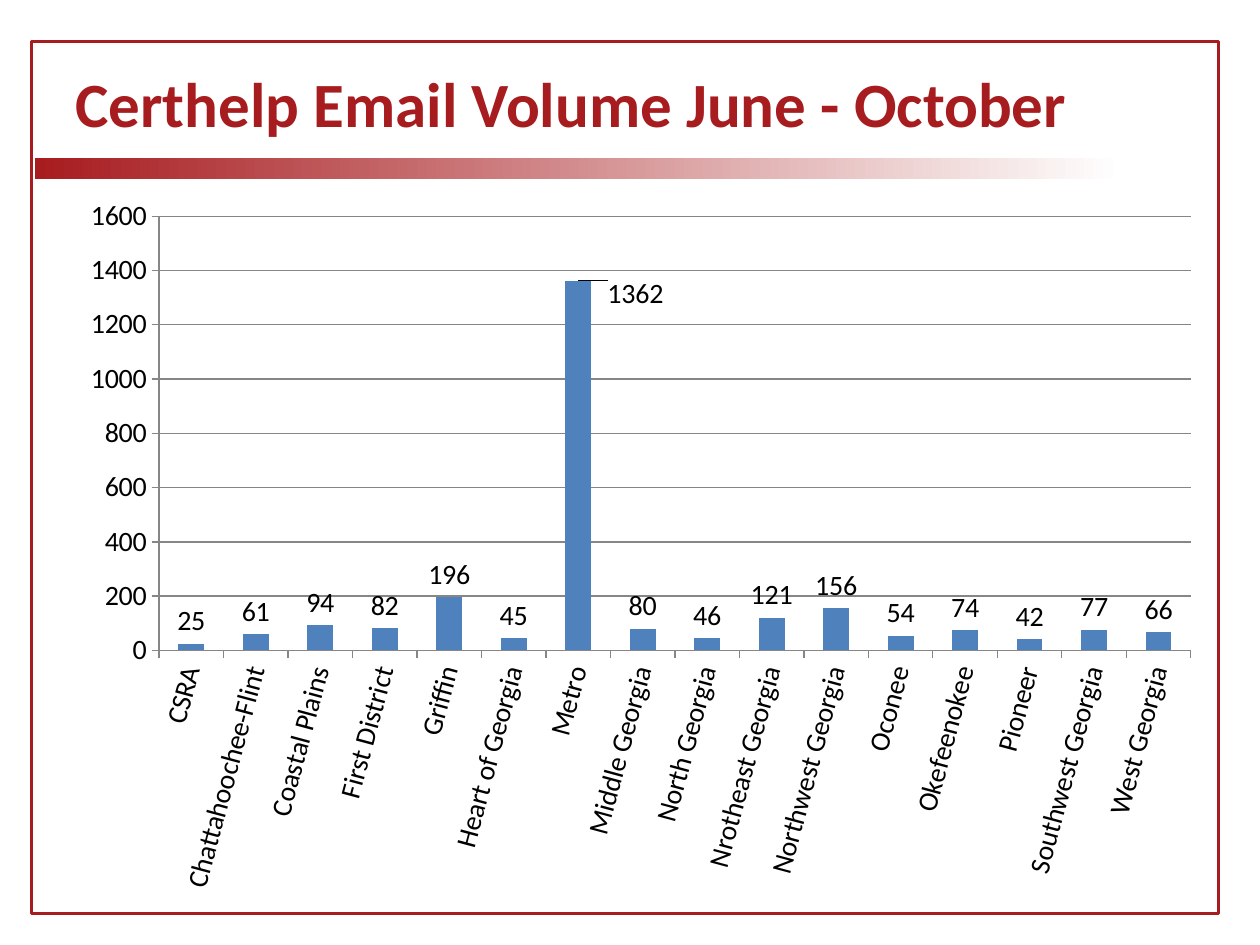
from lxml import etree
from pptx import Presentation
from pptx import util as u
from pptx.chart import data as chart_data
from pptx.dml.color import RGBColor
from pptx.enum import chart as ch, shapes, text
from pptx.oxml import ns

RED = RGBColor(0xA7, 0x1C, 0x1F)
WHITE = RGBColor(0xFF, 0xFF, 0xFF)
BLACK = RGBColor(0, 0, 0)
BLUE = RGBColor(0x4F, 0x81, 0xBD)
GRAY = RGBColor(0x86, 0x86, 0x86)
FONT = "Calibri"

EMAILS = {
    "CSRA": 25, "Chattahoochee-Flint": 61, "Coastal Plains": 94,
    "First District": 82, "Griffin": 196, "Heart of Georgia": 45,
    "Metro": 1362, "Middle Georgia": 80, "North Georgia": 46,
    "Nrotheast Georgia": 121, "Northwest Georgia": 156, "Oconee": 54,
    "Okefeenokee": 74, "Pioneer": 42, "Southwest Georgia": 77,
    "West Georgia": 66,
}


def apply(target, **values):
    for name, value in values.items():
        setattr(target, name, value)


def format_font(font, size, color=BLACK, bold=False):
    apply(font, name=FONT, size=u.Pt(size), bold=bold)
    font.color.rgb = color


def add_title(slide, wording):
    title = slide.shapes.title
    apply(title, left=u.Cm(1.27), top=u.Cm(0.76), width=u.Cm(21.39), height=u.Cm(2.62))
    title.text_frame.text = wording
    apply(title.text_frame, vertical_anchor=text.MSO_ANCHOR.MIDDLE, word_wrap=True)
    paragraph = title.text_frame.paragraphs[0]
    paragraph.alignment = text.PP_ALIGN.LEFT
    format_font(paragraph.runs[0].font, 36, RED, True)


def add_rectangle(slide, left, top, width, height):
    shape = slide.shapes.add_shape(
        shapes.MSO_SHAPE.RECTANGLE, u.Cm(left), u.Cm(top), u.Cm(width), u.Cm(height))
    shape.shadow.inherit = False
    return shape


def add_frame(slide):
    frame = add_rectangle(slide, 0.64, 0.84, 23.93, 17.58)
    frame.fill.background()
    frame.line.color.rgb = RED
    frame.line.width = u.Pt(1.5)


def add_fading_bar(slide):
    bar = add_rectangle(slide, 0.71, 3.18, 21.92, 0.43)
    bar.line.fill.background()
    bar.fill.gradient()
    bar.fill.gradient_angle = 0
    for stop, color, position in zip(bar.fill.gradient_stops, (RED, WHITE), (0, 1)):
        stop.color.rgb = color
        stop.position = position


def add_layout(parent, index, **values):
    """Put a manual chart layout into parent at the given child index."""
    layout = etree.Element(ns.qn("c:layout"))
    manual = etree.SubElement(layout, ns.qn("c:manualLayout"))
    for name, value in values.items():
        etree.SubElement(manual, ns.qn(f"c:{name}")).set("val", str(value))
    for old in parent.findall(ns.qn("c:layout")):
        parent.remove(old)
    parent.insert(index, layout)


def format_axis(axis):
    axis.major_tick_mark = ch.XL_TICK_MARK.OUTSIDE
    axis.format.line.color.rgb = GRAY
    format_font(axis.tick_labels.font, 16)


def add_email_chart(slide):
    data = chart_data.CategoryChartData()
    data.categories = list(EMAILS)
    data.add_series("Series 1", EMAILS.values())
    chart = slide.shapes.add_chart(
        ch.XL_CHART_TYPE.COLUMN_CLUSTERED,
        u.Cm(1.27), u.Cm(3.86), u.Cm(23.06), u.Cm(14.35), data).chart
    apply(chart, has_legend=False, has_title=False)
    format_font(chart.font, 10)

    # Axes, with steep category names
    for axis in (chart.category_axis, chart.value_axis):
        format_axis(axis)
    names = chart.category_axis.tick_labels.font
    names_body = chart.category_axis._element.find(".//" + ns.qn("a:bodyPr"))
    names.bold = False
    names_body.set("rot", str(-75 * 60000))
    names_body.set("vert", "horz")
    apply(chart.value_axis, minimum_scale=0, maximum_scale=1600, major_unit=200,
          has_major_gridlines=True)
    chart.value_axis.major_gridlines.format.line.color.rgb = GRAY

    # Columns and their values
    plot = chart.plots[0]
    apply(plot, gap_width=150, vary_by_categories=False)
    series = plot.series[0]
    series.format.fill.solid()
    series.format.fill.fore_color.rgb = BLUE
    labels = series.data_labels
    apply(labels, show_value=True, position=ch.XL_LABEL_POSITION.OUTSIDE_END)
    format_font(labels.font, 16)

    # The tallest column has its value at the side
    metro = series.points[list(EMAILS).index("Metro")].data_label
    format_font(metro.font, 16)
    metro.position = ch.XL_LABEL_POSITION.OUTSIDE_END
    add_layout(series._element.find(".//" + ns.qn("c:dLbl")), 1, x=0.05, y=0.05)

    plot_area = chart._chartSpace.find(".//" + ns.qn("c:plotArea"))
    add_layout(plot_area, 0, layoutTarget="inner", xMode="edge", yMode="edge",
               x=0.084, y=0.035, w=0.902, h=0.61)


def main():
    presentation = Presentation()
    apply(presentation, slide_width=u.Cm(25.4), slide_height=u.Cm(19.05))
    slide = presentation.slides.add_slide(presentation.slide_layouts[5])
    add_title(slide, "Certhelp Email Volume June - October")
    add_frame(slide)
    add_fading_bar(slide)
    add_email_chart(slide)
    presentation.save("out.pptx")


if __name__ == "__main__":
    main()
